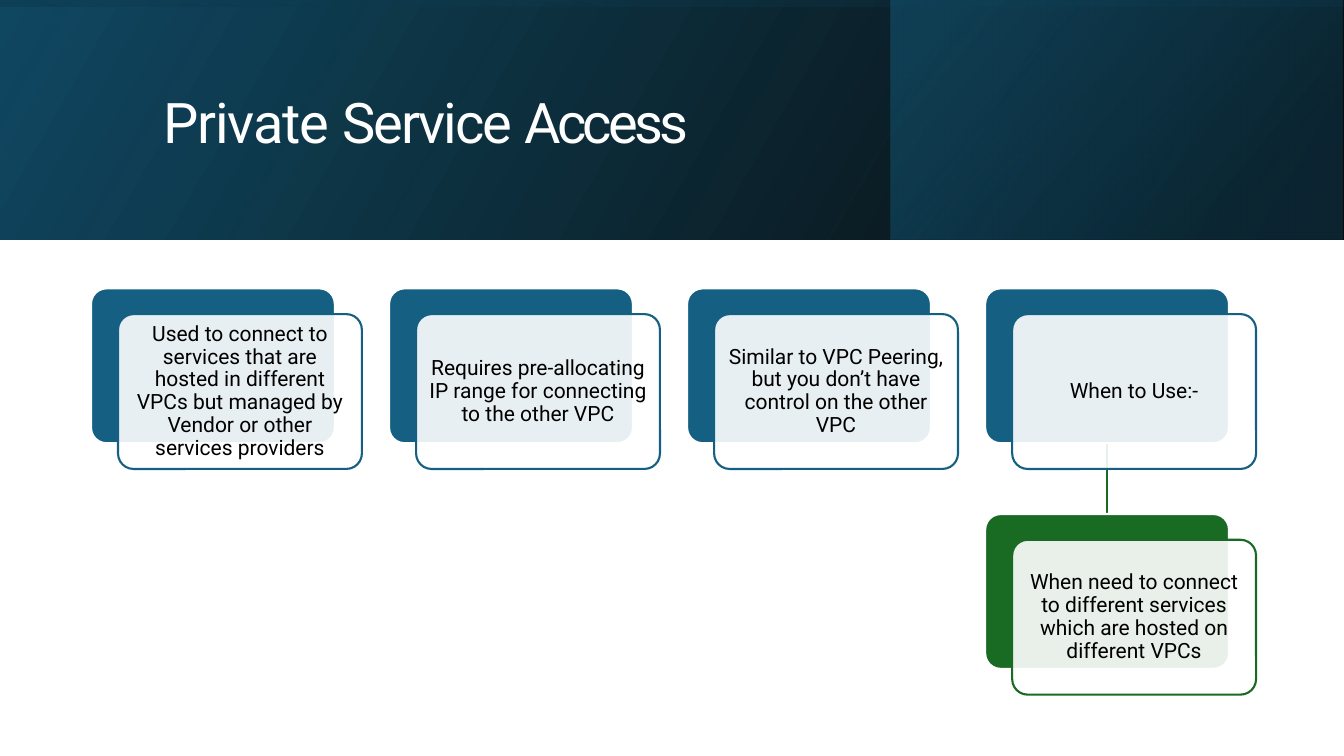
from pptx import Presentation
from pptx.dml.color import RGBColor
from pptx.enum.shapes import MSO_CONNECTOR, MSO_SHAPE
from pptx.enum.text import MSO_ANCHOR, PP_ALIGN
from pptx.oxml.ns import qn
from pptx.util import Pt
from lxml import etree

RECT, ROUNDED = MSO_SHAPE.RECTANGLE, MSO_SHAPE.ROUNDED_RECTANGLE
STRAIGHT = MSO_CONNECTOR.STRAIGHT
LEFT, CENTER, MIDDLE = PP_ALIGN.LEFT, PP_ALIGN.CENTER, MSO_ANCHOR.MIDDLE

WHITE = RGBColor(0xFF, 0xFF, 0xFF)
BLACK = RGBColor(0, 0, 0)
BLUE = RGBColor(0x15, 0x60, 0x82)
DEEP_BLUE = RGBColor(0x10, 0x48, 0x62)
NAVY = RGBColor(0x0B, 0x30, 0x41)
GREEN = RGBColor(0x19, 0x6B, 0x24)

FONT = "Roboto"
SLIDE_W, SLIDE_H = 960, 540
BANNER_H = 170.9

# Each word of the title with its letter spacing in points
TITLE = [("Private ", -0.8), ("Service ", -1.4), ("Access", -2.6)]

# Column, row, colour, text
CARDS = [
    (0, 0, BLUE, "Used to connect to services that are hosted in different VPCs "
                 "but managed by Vendor or other services providers"),
    (1, 0, BLUE, "Requires pre-allocating IP range for connecting to the other VPC"),
    (2, 0, BLUE, "Similar to VPC Peering, but you don’t have control on the other VPC"),
    (3, 0, BLUE, "When to Use:-"),
    (3, 1, GREEN, "When need to connect to different services which are hosted "
                  "on different VPCs"),
]

# Left, width, rotation, angle, stops of (position, colour, opacity %)
BANNER_LAYERS = [
    (0, SLIDE_W, 0, 30, [(0, BLACK, 96), (1, DEEP_BLUE, 100)]),
    (636.5, 322.6, 0, 40, [(0.19, NAVY, 68), (1, BLUE, 48)]),
    (0, SLIDE_W, 270, 10, [(0.23, DEEP_BLUE, 16), (0.99, BLACK, 45)]),
]

CARD_LEFT, CARD_TOP = 65, 206
CARD_W, CARD_H = 174.2, 110.6
COLUMN_PITCH, ROW_PITCH = 212.9, 161.2
FRONT_OFFSET_X, FRONT_OFFSET_Y = 19.3, 18.4


def set_opacity(color_element, percent):
    etree.SubElement(color_element, qn("a:alpha")).set("val", str(percent * 1000))


def add_block(shapes, kind, left, top, width, height):
    block = shapes.add_shape(kind, Pt(left), Pt(top), Pt(width), Pt(height))
    block.shadow.inherit = False
    return block


def add_banner_layer(shapes, left, width, rotation, angle, stops):
    """Add a mirrored gradient band; a quarter-turned band swaps its sides about its centre."""
    w, h = (BANNER_H, width) if rotation else (width, BANNER_H)
    layer = add_block(shapes, RECT, left + (width - w) / 2, (BANNER_H - h) / 2, w, h)
    layer.rotation = rotation
    layer._element.spPr.find(qn("a:xfrm")).set("flipH", "1")
    layer.fill.gradient()
    layer.fill.gradient_angle = angle
    for stop, (position, color, _) in zip(layer.fill.gradient_stops, stops):
        stop.position = position
        stop.color.rgb = color
    colors = list(layer._element.spPr.iter(qn("a:srgbClr")))
    for color_element, (_, _, opacity) in zip(colors, stops):
        set_opacity(color_element, opacity)
    layer.line.fill.background()


def write(shape, text, *, size, color, align, inset):
    """Write a string, or a list of (string, letter spacing), as one paragraph."""
    frame = shape.text_frame
    frame.word_wrap = True
    frame.vertical_anchor = MIDDLE
    frame.margin_left = frame.margin_right = Pt(inset)
    frame.margin_top = frame.margin_bottom = Pt(4.3)
    paragraph = frame.paragraphs[0]
    paragraph.alignment = align
    paragraph.line_spacing = 0.9
    for words, spacing in ([(text, 0)] if isinstance(text, str) else text):
        run = paragraph.add_run()
        run.text = words
        run.font.name, run.font.size = FONT, Pt(size)
        run.font.color.rgb = color
        if spacing:
            run._r.get_or_add_rPr().set("spc", str(round(spacing * 100)))


def add_card_layer(shapes, left, top, fill, line):
    layer = add_block(shapes, ROUNDED, left, top, CARD_W, CARD_H)
    layer.adjustments[0] = 0.1
    layer.fill.solid()
    layer.fill.fore_color.rgb = fill
    layer.line.color.rgb = line
    layer.line.width = Pt(1.5)
    return layer


def add_card(shapes, column, row, color, text):
    left = CARD_LEFT + column * COLUMN_PITCH
    top = CARD_TOP + row * ROW_PITCH
    back = add_card_layer(shapes, left, top, color, WHITE)
    front = add_card_layer(shapes, left + FRONT_OFFSET_X, top + FRONT_OFFSET_Y, WHITE, color)
    set_opacity(front._element.spPr.find(qn("a:solidFill"))[0], 90)
    write(front, text, size=15, color=BLACK, align=CENTER, inset=4.3)
    return back


def main():
    deck = Presentation()
    deck.slide_width, deck.slide_height = Pt(SLIDE_W), Pt(SLIDE_H)
    shapes = deck.slides.add_slide(deck.slide_layouts[6]).shapes

    for layer in BANNER_LAYERS:
        add_banner_layer(shapes, *layer)
    title = shapes.add_textbox(Pt(108.7), Pt(27.4), Pt(765.4), Pt(123.8))
    write(title, TITLE, size=40, color=WHITE, align=LEFT, inset=7.9)

    # Added before the cards so that it lies behind them
    link = shapes.add_connector(STRAIGHT, 0, 0, 0, 0)
    link.line.color.rgb = GREEN
    link.line.width = Pt(1.5)
    etree.SubElement(link._element.spPr, qn("a:effectLst"))

    backs = [add_card(shapes, *card) for card in CARDS]
    link.begin_connect(backs[3], 2)
    link.end_connect(backs[4], 0)

    deck.save("out.pptx")


if __name__ == "__main__":
    main()
